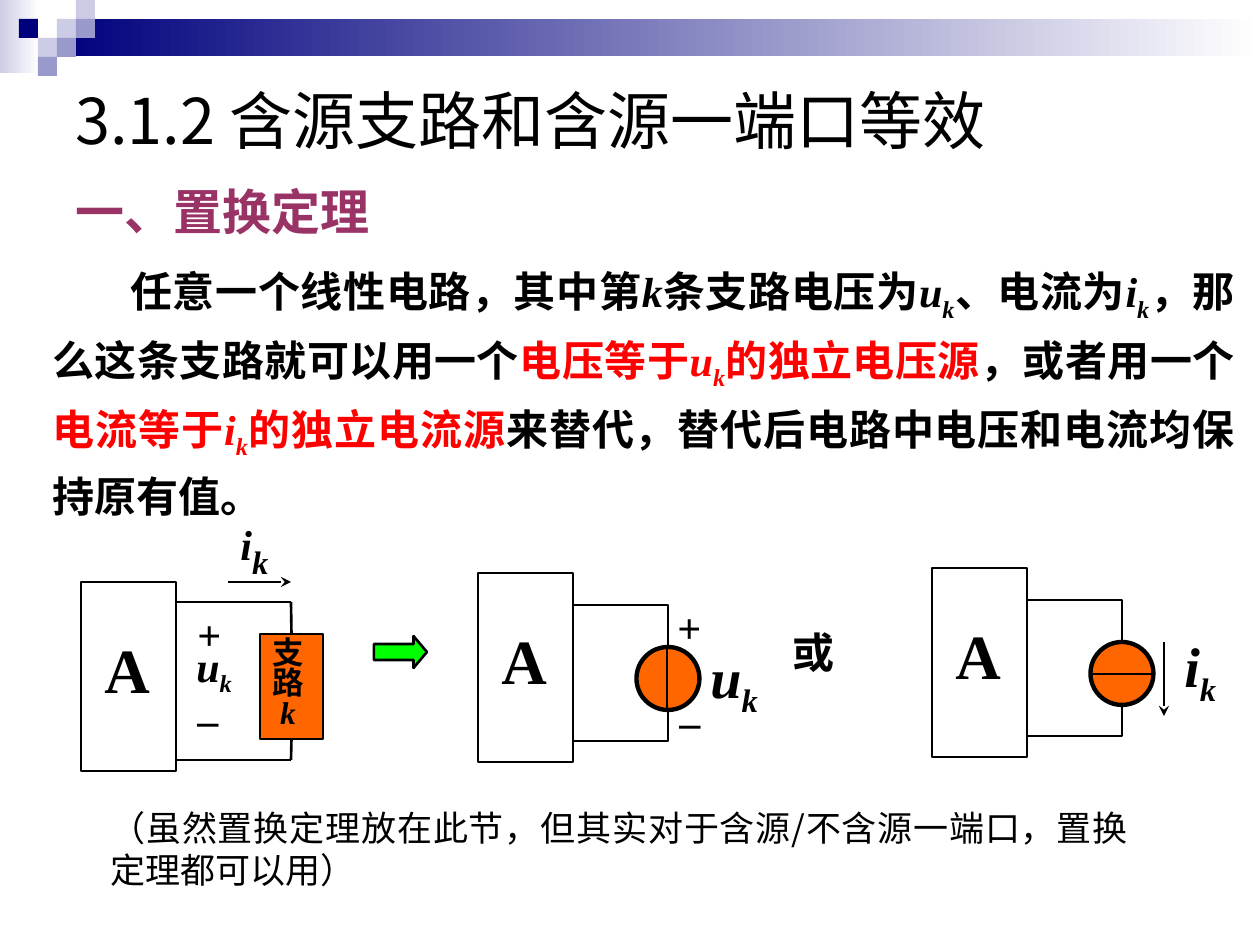
from lxml.etree import SubElement
from pptx import Presentation
from pptx.dml.color import RGBColor
from pptx.enum.shapes import MSO_CONNECTOR, MSO_SHAPE
from pptx.enum.text import MSO_ANCHOR, PP_ALIGN
from pptx.oxml.ns import qn
from pptx.util import Pt

PX = 914400 / 126
SANS, SERIF = "Noto Sans CJK SC", "Times New Roman"
COLORS = {"black": "000000", "white": "FFFFFF", "red": "FF0000", "plum": "993366",
          "orange": "FF6600", "green": "00FF00", "navy": "00007D",
          "pale": "CCCCE6", "mid": "9999CC"}

# Header: gradient bars (left, top, width, height, colour) and grid cells (column, row, colour)
BARS = [(0, 0, 39, 73, "pale"), (57, 19, 1203, 37, "navy")]
CELL = 19
CELLS = [(3, 1, "pale"), (4, 0, "pale"), (4, 1, "mid"), (2, 2, "pale"),
         (1, 1, "navy"), (3, 2, "mid"), (2, 3, "mid")]

# Runs are (text, style): i italic, s subscript, r red
TITLE = "3.1.2 含源支路和含源一端口等效"
HEADING = "一、置换定理"
NOTE = "（虽然置换定理放在此节，但其实对于含源/不含源一端口，置换定理都可以用）"
THEOREM = [
    ("任意一个线性电路，其中第", ""), ("k", "i"), ("条支路电压为", ""),
    ("u", "i"), ("k", "is"), ("、电流为", ""), ("i", "i"), ("k", "is"),
    ("，那么这条支路就可以用一个", ""), ("电压等于", "r"), ("u", "ir"), ("k", "isr"),
    ("的独立电压源", "r"), ("，或者用一个", ""), ("电流等于", "r"),
    ("i", "ir"), ("k", "isr"), ("的独立电流源", "r"),
    ("来替代，替代后电路中电压和电流均保持原有值。", "")]
VOLTAGE = [("u", "i"), ("k", "is")]
CURRENT = [("i", "i"), ("k", "is")]

# Circuit labels: left, top, width, height, runs, size
LABELS = [
    (185, 602, 34, 63, [("+", "")], 24), (185, 687, 53, 63, [("–", "")], 24),
    (184, 634, 76, 63, VOLTAGE, 24),
    (665, 595, 34, 63, [("+", "")], 24), (667, 689, 53, 63, [("–", "")], 24),
    (698, 636, 76, 79, VOLTAGE, 32), (1172, 625, 86, 79, CURRENT, 32),
    (780, 620, 78, 63, [("或", "")], 24)]

# Network boxes A: left, top
BOX_W, BOX_H = 95, 189
NETWORKS = [(81, 582), (478, 573), (932, 568)]
LOOP_TOP, LOOP_H, SOURCE_D = 32, 136, 63

prs = Presentation()
prs.slide_width, prs.slide_height = 9144000, 6858000
s = prs.slides.add_slide(prs.slide_layouts[6])


def emu(*values):
    return [round(v * PX) for v in values]


def rgb(name):
    return RGBColor.from_string(COLORS[name])


def shape(kind, x, y, w, h, fill=None, line=None):
    sp = s.shapes.add_shape(kind, *emu(x, y, w, h))
    sp.shadow.inherit = False
    if fill:
        sp.fill.solid()
        sp.fill.fore_color.rgb = rgb(fill)
    else:
        sp.fill.background()
    if line:
        sp.line.color.rgb = rgb("black")
        sp.line.width = Pt(line)
    else:
        sp.line.fill.background()
    return sp


def wire(x1, y1, x2, y2, arrow=False):
    c = s.shapes.add_connector(MSO_CONNECTOR.STRAIGHT, *emu(x1, y1, x2, y2))
    c.line.color.rgb = rgb("black")
    c.line.width = Pt(1.5)
    if arrow:
        SubElement(c.line._get_or_add_ln(), qn("a:tailEnd"), type="stealth")
    SubElement(c._element.spPr, qn("a:effectLst"))
    return c


def text(x, y, w, h, paragraphs, size, font=SERIF, bold=True, color="black",
         align=PP_ALIGN.LEFT, spacing=None, anchor=MSO_ANCHOR.TOP):
    """Add a text box; each paragraph is a list of (text, style) runs."""
    sp = s.shapes.add_textbox(*emu(x, y, w, h))
    tf = sp.text_frame
    tf.word_wrap = True
    tf.vertical_anchor = anchor
    for n, runs in enumerate(paragraphs):
        p = tf.add_paragraph() if n else tf.paragraphs[0]
        p.alignment = align
        if spacing:
            p.line_spacing = spacing
        for content, style in runs:
            r = p.add_run()
            r.text = content
            f = r.font
            f.name, f.size, f.bold, f.italic = font, Pt(size), bold, "i" in style
            f.color.rgb = rgb("red" if "r" in style else color)
            rPr = r._r.get_or_add_rPr()
            SubElement(rPr, qn("a:ea"), typeface=SANS)
            if "s" in style:
                rPr.set("baseline", "-25000")
    return sp


# Header decoration
for *place, color in BARS:
    sp = shape(MSO_SHAPE.RECTANGLE, *place, fill=color)
    sp.fill.gradient()
    sp.fill.gradient_angle = 0
    for stop, name, position in zip(sp.fill.gradient_stops, (color, "white"), (0, 1)):
        stop.color.rgb = rgb(name)
        stop.position = position
for col, row, color in CELLS:
    shape(MSO_SHAPE.RECTANGLE, col * CELL, row * CELL, CELL, CELL, color)

# Wording
text(63, 63, 1134, 112, [[(TITLE, "")]], 36, SANS, False, anchor=MSO_ANCHOR.MIDDLE)
text(98, 800, 1042, 97, [[(NOTE, "")]], 20, SANS, False, align=PP_ALIGN.JUSTIFY)
text(63, 175, 1042, 72, [[(HEADING, "")]], 28, SANS, color="plum")
theorem = text(40, 248, 1207, 251, [THEOREM], 24, align=PP_ALIGN.JUSTIFY, spacing=1.2)
theorem.text_frame.paragraphs[0]._p.get_or_add_pPr().set("indent", str(emu(78)[0]))

# Networks
for x, y in NETWORKS:
    shape(MSO_SHAPE.RECTANGLE, x, y, BOX_W, BOX_H, line=1.5)
    text(x + 11, y + 42, 84, 88, [[("A", "")]], 36)

# Branch k
branch = shape(MSO_SHAPE.RECTANGLE, 260, 634, 63, 105, "orange", 1.5)
text(260, 634, 53, 105, [[("支", "")], [("路", "")], [(" ", ""), ("k", "i")]], 18,
     align=PP_ALIGN.JUSTIFY, spacing=0.8)
for y, side, edge in ((602, 0, 634), (760, 2, 739)):
    wire(176, y, 291, y)
    wire(291, y, 291, edge).end_connect(branch, side)
wire(228, 582, 291, 582, arrow=True)
label = text(228, 498, 73, 79, [CURRENT], 24)
label.text_frame.paragraphs[0].runs[1].font.size = Pt(32)

# Equivalent sources
arrow = shape(MSO_SHAPE.RIGHT_ARROW, 374, 636, 53, 32, "green", 1.5)
arrow.adjustments[1] = 0.42
for x, y in NETWORKS[1:]:
    left, top = x + BOX_W, y + LOOP_TOP
    shape(MSO_SHAPE.RECTANGLE, left, top, BOX_W, LOOP_H, line=1.5)
    shape(MSO_SHAPE.OVAL, left + BOX_W - SOURCE_D / 2, top + 42, SOURCE_D, SOURCE_D,
          "orange", 2.5)
wire(667, 645, 667, 712)
wire(1089, 674, 1155, 674)
wire(1164, 642, 1164, 716, arrow=True)

for *place, runs, size in LABELS:
    text(*place, [runs], size)

prs.save("out.pptx")
